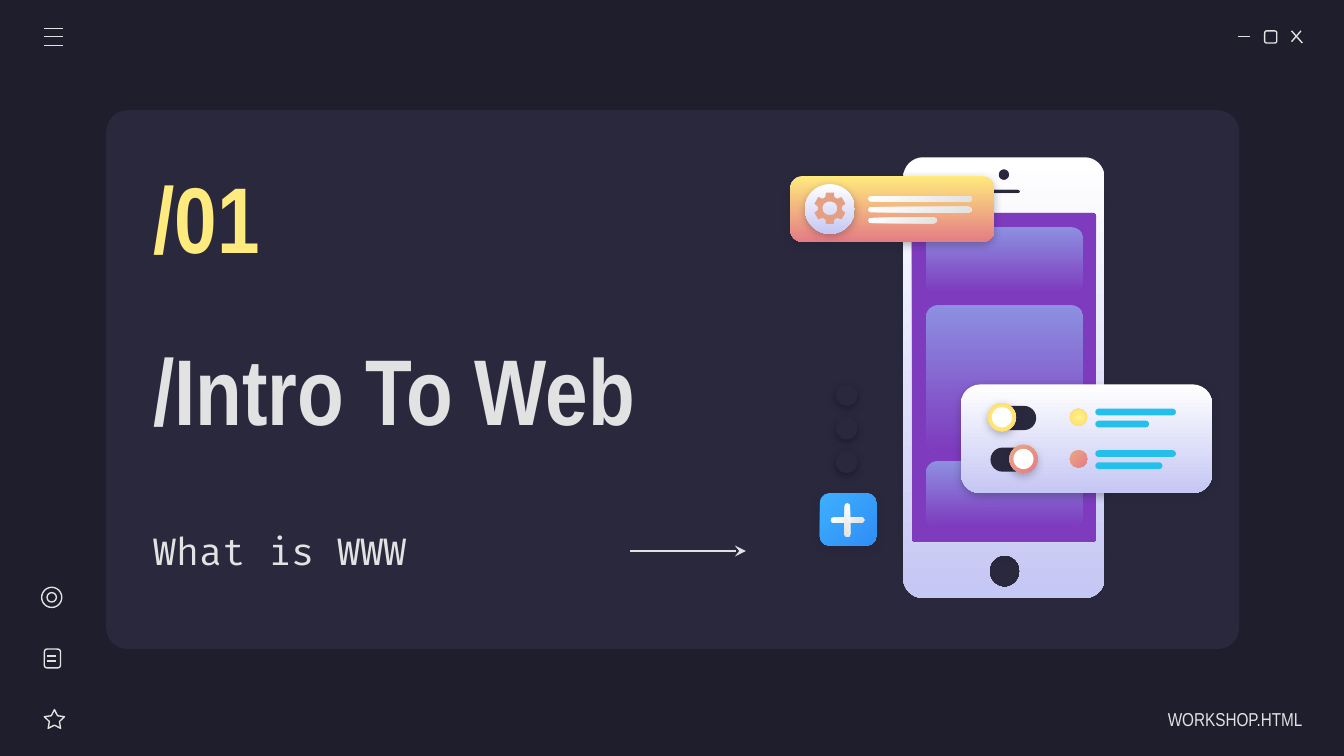
"""Build the section opener slide "/Intro To Web" with its phone illustration."""
from dataclasses import dataclass
from math import cos, pi, radians, sin
from typing import NamedTuple, Optional, Union

from pptx import Presentation
from pptx.dml.color import RGBColor
from pptx.enum.shapes import MSO_CONNECTOR, MSO_SHAPE as SHAPE
from pptx.enum.text import MSO_ANCHOR, MSO_AUTO_SIZE, PP_ALIGN as ALIGN
from pptx.oxml import parse_xml
from pptx.oxml.ns import nsdecls, qn
from pptx.util import Pt

PX = 9144
SLIDE_W = 1000
NIGHT, PANEL, LIGHT, YELLOW, CYAN = "1E1E2C", "29283D", "E2E2E2", "FFEA7D", "24BFEB"
COMPARISON_LAYOUT = 4
ROUND, OVAL = SHAPE.ROUNDED_RECTANGLE, SHAPE.OVAL


class Gradient(NamedTuple):
    """Two colours and a clockwise angle, or no angle for a radial blend."""
    start: str
    end: str
    angle: Optional[int] = 90


class Box(NamedTuple):
    """A position and size in px."""
    x: int
    y: int
    w: int
    h: int


Paint = Union[str, Gradient, None]
Points = list[tuple[float, float]]

WHITE_LILAC = Gradient("FFFFFF", "C5C7F4")
BLUE_PURPLE = Gradient("8D90E1", "7E3BBE")
WHITE_GREY = Gradient("FFFFFF", "E2E2E2", 45)
SUN = Gradient("FFF68E", "FFD966", None)
CORAL = Gradient("E9A984", "E57C85", 45)


@dataclass(frozen=True)
class Part:
    """A preset shape with its paint."""
    box: Box
    paint: Paint
    preset: SHAPE = ROUND
    bend: Optional[float] = None
    shadow: Optional[str] = None
    outline: bool = False
    rotation: int = 0


@dataclass(frozen=True)
class Label:
    """A line of text with its format."""
    words: str
    box: Box
    size: int
    face: str = "Arial Narrow"
    colour: str = LIGHT
    bold: bool = False
    align: ALIGN = ALIGN.LEFT
    right_inset: int = 10


def outlined(box: Box, preset: SHAPE, bend: Optional[float] = None) -> Part:
    """Describe an unfilled icon part."""
    return Part(box, None, preset, bend, outline=True)


def pill(x: int, y: int, w: int, h: int, paint: Paint, rotation: int = 0) -> Part:
    """Describe a bar with fully round ends."""
    return Part(Box(x, y, w, h), paint, ROUND, 0.5, rotation=rotation)


def disc(x: int, y: int, size: int, paint: Paint, shadow: Optional[str] = None) -> Part:
    """Describe a filled circle."""
    return Part(Box(x, y, size, size), paint, OVAL, shadow=shadow)


ICON_PARTS = [
    outlined(Box(941, 23, 9, 9), ROUND, 0.17),
    outlined(Box(33, 528, 15, 14), SHAPE.STAR_5_POINT, 0.25),
    outlined(Box(33, 483, 12, 14), ROUND, 0.17),
    outlined(Box(31, 437, 15, 15), OVAL),
    outlined(Box(35, 441, 7, 7), OVAL),
]
ICON_LINES = [
    (921, 27, 930, 27), (961, 23, 969, 32), (968, 23, 961, 31),
    *[(33, y, 47, y) for y in (21, 27, 34)],
    *[(35, y, 42, y) for y in (488, 492)],
]
SCREEN_PARTS = [
    Part(Box(674, 147, 146, 263), "7E3BBE", ROUND, 0, NIGHT),
    *[Part(Box(689, y, 117, h), BLUE_PURPLE, ROUND, 9 / h)
      for y, h in ((169, 49), (227, 109), (343, 49))],
]
SETTINGS_PARTS = [
    Part(Box(588, 131, 152, 49), Gradient(YELLOW, "E57C85"), ROUND, 0.19, NIGHT),
    disc(599, 137, 37, WHITE_LILAC, NIGHT),
    *[pill(646, 146 + 8 * row, w, 4, WHITE_GREY) for row, w in enumerate((77, 77, 51))],
]
TOGGLE_PARTS = [
    Part(Box(715, 286, 187, 81), WHITE_LILAC, ROUND, 0.18, NIGHT),
    *[part for y, knob, paint, short in ((300, 735, SUN, 40), (331, 751, CORAL, 50))
      for part in (pill(737, y + 2, 34, 18, PANEL), disc(knob, y, 21, paint, NIGHT),
                   disc(knob + 3, y + 3, 15, "FFFFFF"), disc(796, y + 4, 13, paint),
                   pill(815, y + 4, 60, 5, CYAN), pill(815, y + 13, short, 5, CYAN))],
]
ADD_PARTS = [
    Part(Box(610, 367, 42, 39), Gradient("3DB0FD", "308EF7", 45), ROUND, 0.18, NIGHT),
    *[pill(618, 385, 25, 4, WHITE_GREY, turn) for turn in (0, 90)],
    *[disc(622, 286 + 25 * row, 16, PANEL, "000000") for row in range(3)],
]
TITLE = Label("/Intro To Web", Box(104, 207, 430, 164), 50, bold=True)
BODIES = {
    1: Label("/01", Box(104, 115, 178, 92), 50, colour=YELLOW, bold=True),
    3: Label("What is WWW", Box(104, 371, 399, 78), 20, "Fira Code"),
}
FOOTER = Label("WORKSHOP.HTML", Box(852, 520, 117, 30), 10, align=ALIGN.RIGHT, right_inset=0)


def rgb(colour: str) -> RGBColor:
    """Turn a hex string into a colour."""
    return RGBColor.from_string(colour)


def emu(*lengths: float) -> list[int]:
    """Turn px into EMU."""
    return [round(length * PX) for length in lengths]


def apply_paint(shape, paint: Paint) -> None:
    """Fill a shape with a colour, a gradient or nothing."""
    fill = shape.fill
    if paint is None:
        fill.background()
    elif isinstance(paint, str):
        fill.solid()
        fill.fore_color.rgb = rgb(paint)
    else:
        fill.gradient()
        for stop, colour in zip(fill.gradient_stops, paint):
            stop.color.rgb = rgb(colour)
        if paint.angle is not None:
            fill.gradient_angle = 360 - paint.angle
            return
        linear = next(shape.element.spPr.iter(qn("a:lin")))
        linear.getparent().replace(linear, parse_xml(
            f'<a:path {nsdecls("a")} path="circle">'
            '<a:fillToRect l="50000" t="50000" r="50000" b="50000"/></a:path>'))


def add_shadow(shape, colour: str) -> None:
    """Give a shape a soft shadow that falls downwards."""
    shape.element.spPr.find(qn("a:effectLst")).append(parse_xml(
        f'<a:outerShdw {nsdecls("a")} blurRad="57150" dist="19050" dir="5400000" rotWithShape="0">'
        f'<a:srgbClr val="{colour}"><a:alpha val="30000"/></a:srgbClr></a:outerShdw>'))


def set_line(line) -> None:
    """Draw a line in the thin icon style."""
    line.color.rgb = rgb(LIGHT)
    line.width = Pt(0.75)


def draw_part(slide, part: Part) -> None:
    """Draw one preset shape."""
    shape = slide.shapes.add_shape(part.preset, *emu(*part.box))
    shape.shadow.inherit = False
    shape.rotation = part.rotation
    if part.bend is not None:
        shape.adjustments[0] = part.bend
    apply_paint(shape, part.paint)
    if part.outline:
        set_line(shape.line)
    else:
        shape.line.fill.background()
    if part.shadow:
        add_shadow(shape, part.shadow)


def draw_line(slide, ends: tuple[int, int, int, int], arrow: bool = False) -> None:
    """Draw a thin straight line."""
    connector = slide.shapes.add_connector(MSO_CONNECTOR.STRAIGHT, *emu(*ends))
    set_line(connector.line)
    properties = connector.element.spPr
    if arrow:
        properties.find(qn("a:ln")).append(
            parse_xml(f'<a:tailEnd {nsdecls("a")} type="stealth"/>'))
    properties.append(parse_xml(f'<a:effectLst {nsdecls("a")}/>'))


def rounded(box: Box, radius: float) -> Points:
    """Trace a box with round corners."""
    radius = min(radius, box.w / 2, box.h / 2)
    left, right = box.x + radius, box.x + box.w - radius
    top, bottom = box.y + radius, box.y + box.h - radius
    corners = ((right, bottom), (left, bottom), (left, top), (right, top))
    return [(x + radius * cos(angle), y + radius * sin(angle))
            for quarter, (x, y) in enumerate(corners)
            for angle in ((quarter + step / 8) * pi / 2 for step in range(9))]


def gear(x: float, y: float) -> Points:
    """Trace a cogwheel with six teeth."""
    return [(x + radius * sin(radians(angle)), y - radius * cos(radians(angle)))
            for tooth in range(0, 360, 60)
            for radius, angle in ((9, tooth - 22), (12, tooth - 14),
                                  (12, tooth + 14), (9, tooth + 22))]


def draw_outline(slide, contours: list[Points], paint: Paint) -> None:
    """Draw a free shape whose inner contours are holes."""
    first, *others = [[tuple(emu(*point)) for point in contour] for contour in contours]
    builder = slide.shapes.build_freeform(*first[0])
    builder.add_line_segments(first[1:])
    for contour in others:
        builder.move_to(*contour[0])
        builder.add_line_segments(contour[1:])
    shape = builder.convert_to_shape()
    shape.shadow.inherit = False
    apply_paint(shape, paint)
    shape.line.fill.background()


def write_label(shape, label: Label) -> None:
    """Place a text shape and format its line."""
    shape.left, shape.top, shape.width, shape.height = emu(*label.box)
    frame = shape.text_frame
    frame.text = label.words
    paragraph = frame.paragraphs[0]
    font = paragraph.runs[0].font
    inset, right = emu(10, label.right_inset)
    formats = (
        (frame, {"word_wrap": True, "auto_size": MSO_AUTO_SIZE.NONE,
                 "vertical_anchor": MSO_ANCHOR.MIDDLE, "margin_left": inset,
                 "margin_top": inset, "margin_bottom": inset, "margin_right": right}),
        (paragraph, {"alignment": label.align, "space_before": Pt(0)}),
        (font, {"name": label.face, "size": Pt(label.size), "bold": label.bold}),
        (font.color, {"rgb": rgb(label.colour)}),
    )
    for target, values in formats:
        for name, value in values.items():
            setattr(target, name, value)


def draw_texts(slide) -> None:
    """Fill the placeholders above the panel and drop the spare ones."""
    labels = {0: TITLE, **BODIES}
    for holder in list(slide.placeholders):
        index, tree = holder.placeholder_format.idx, holder.element.getparent()
        tree.remove(holder.element)
        if index in labels:
            tree.append(holder.element)
            write_label(holder, labels[index])
    write_label(slide.shapes.add_textbox(*emu(*FOOTER.box)), FOOTER)


def draw_parts(slide, parts: list[Part]) -> None:
    """Draw preset shapes from back to front."""
    for part in parts:
        draw_part(slide, part)


def draw_phone(slide) -> None:
    """Draw the phone with the cards that float around it."""
    draw_parts(slide, SCREEN_PARTS)
    draw_outline(slide, [
        rounded(Box(672, 117, 150, 328), 15), rounded(Box(743, 126, 8, 8), 4),
        rounded(Box(735, 141, 24, 3), 2), rounded(Box(678, 158, 138, 246), 3),
        rounded(Box(736, 413, 23, 24), 12)], WHITE_LILAC)
    draw_parts(slide, SETTINGS_PARTS)
    draw_outline(slide, [gear(617.5, 155), rounded(Box(612, 150, 11, 10), 5)], "E5A083")
    draw_parts(slide, TOGGLE_PARTS + ADD_PARTS)


def main() -> None:
    """Build and save the slide."""
    deck = Presentation()
    deck.slide_width, deck.slide_height = emu(SLIDE_W, SLIDE_W * 9 / 16)
    slide = deck.slides.add_slide(deck.slide_layouts[COMPARISON_LAYOUT])
    apply_paint(slide.background, NIGHT)
    draw_parts(slide, [Part(Box(79, 82, 843, 401), PANEL, ROUND, 0.04), *ICON_PARTS])
    for ends in ICON_LINES:
        draw_line(slide, ends)
    draw_texts(slide)
    draw_line(slide, (469, 410, 555, 410), arrow=True)
    draw_phone(slide)
    deck.save("out.pptx")


if __name__ == "__main__":
    main()
